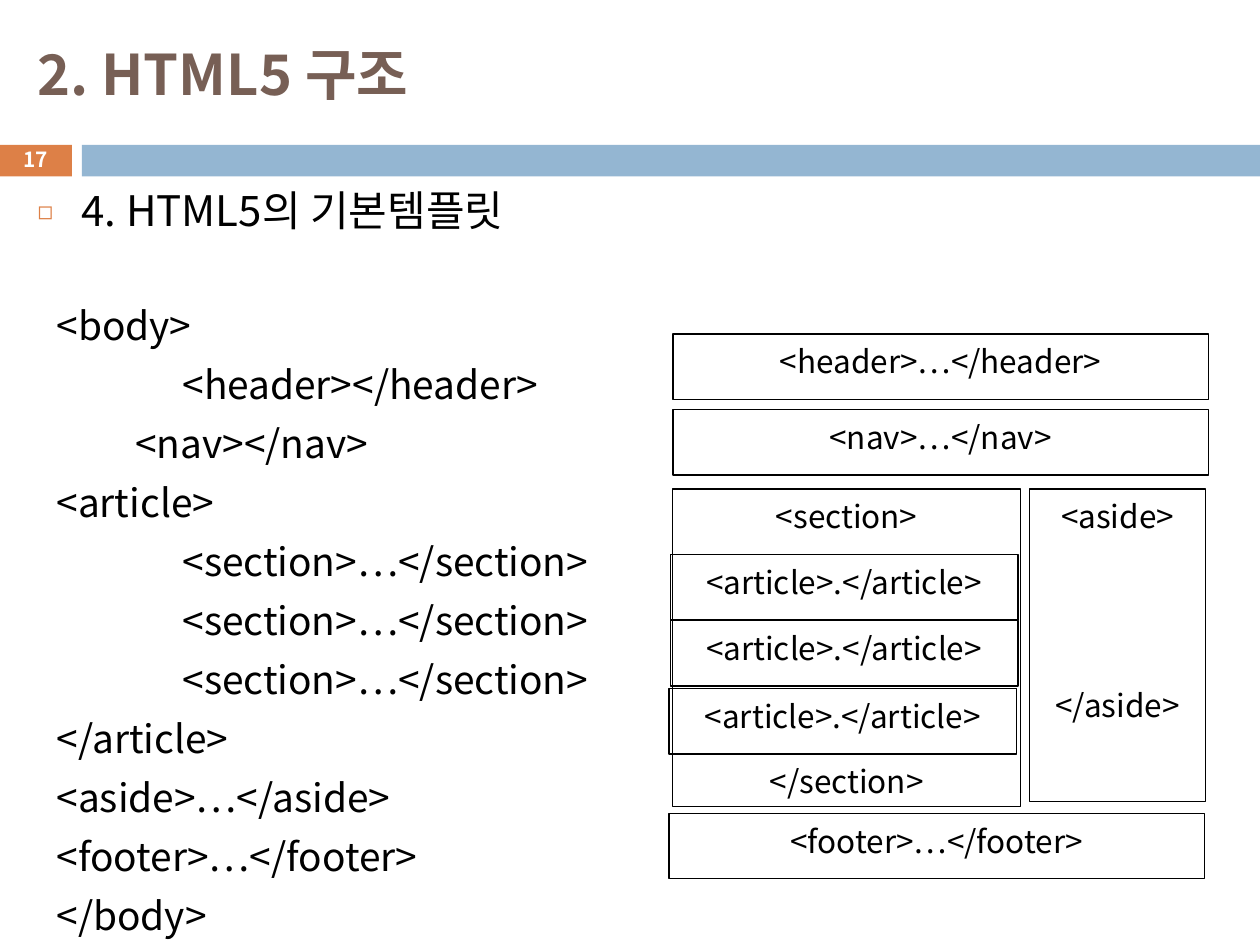
from pptx import Presentation
from pptx.util import Pt
from pptx.dml.color import RGBColor
from pptx.enum.shapes import MSO_SHAPE as SHAPE
from pptx.enum.text import MSO_ANCHOR as ANCHOR, PP_ALIGN as ALIGN
from pptx.oxml.ns import qn
from lxml.etree import SubElement

BLACK = RGBColor(0, 0, 0)
WHITE = RGBColor(255, 255, 255)
BROWN = RGBColor(0x77, 0x5F, 0x55)
ORANGE = RGBColor(0xDD, 0x80, 0x47)
BLUE = RGBColor(0x94, 0xB6, 0xD2)
FONT = "Noto Sans CJK KR"

prs = Presentation()
prs.slide_width, prs.slide_height = Pt(720), Pt(540)
s = prs.slides.add_slide(prs.slide_layouts[6])


def add_run(p, text, size, color=BLACK, bold=False):
    r = p.add_run()
    r.text = text
    r.font.name = FONT
    r.font.size = Pt(size)
    r.font.bold = bold
    r.font.color.rgb = color
    SubElement(r.font._element, qn("a:ea"), typeface=FONT)


def add_box(x, y, w, h, fill=None, line=None):
    sp = s.shapes.add_shape(SHAPE.RECTANGLE, Pt(x), Pt(y), Pt(w), Pt(h))
    sp.shadow.inherit = False
    if fill is None:
        sp.fill.background()
    else:
        sp.fill.solid()
        sp.fill.fore_color.rgb = fill
    if line is None:
        sp.line.fill.background()
    else:
        sp.line.color.rgb = line
        sp.line.width = Pt(0.75)
    tf = sp.text_frame
    tf.word_wrap = True
    tf.vertical_anchor = ANCHOR.TOP
    tf.paragraphs[0].alignment = ALIGN.LEFT
    return tf


add_box(-0.72, 82.8, 41.76, 18, fill=ORANGE)
add_box(46.8, 82.8, 673.2, 18, fill=BLUE)

tf = add_box(14.4, 15.12, 642.24, 53.28)
tf.vertical_anchor = ANCHOR.MIDDLE
add_run(tf.paragraphs[0], "2. HTML5 구조", 32, BROWN, True)

tf = add_box(-0.72, 81.36, 41.76, 19.44)
tf.vertical_anchor = ANCHOR.MIDDLE
tf.paragraphs[0].alignment = ALIGN.CENTER
add_run(tf.paragraphs[0], "17", 11.9, WHITE, True)

tf = add_box(14.4, 100.08, 642.24, 55.44)
p = tf.paragraphs[0]
p.line_spacing = Pt(30.6)
pPr = p._p.get_or_add_pPr()
pPr.set("marL", str(Pt(25.2)))
pPr.set("indent", str(Pt(-25.2)))
SubElement(SubElement(pPr, qn("a:buClr")), qn("a:srgbClr"), val=str(ORANGE))
SubElement(pPr, qn("a:buSzPct"), val="60000")
SubElement(pPr, qn("a:buFont"), typeface=FONT)
SubElement(pPr, qn("a:buChar"), char="◻")
add_run(p, "4. HTML5의 기본템플릿", 24)

SECTION = ("<section>…</section>", 72)
CODE = [
    ("<body>", 0),
    ("<header></header>", 72),
    ("<nav></nav>", 45),
    ("<article>", 0),
    SECTION,
    SECTION,
    SECTION,
    ("</article>", 0),
    ("<aside>…</aside>", 0),
    ("<footer>…</footer>", 0),
    ("</body>", 0),
]
tf = add_box(25.2, 167.76, 323.28, 339.84)
for i, (text, indent) in enumerate(CODE):
    p = tf.add_paragraph() if i else tf.paragraphs[0]
    p.alignment = ALIGN.LEFT
    p.line_spacing = Pt(28)
    if i:
        p.space_before = Pt(5.66)
    p._p.get_or_add_pPr().set("marL", str(Pt(indent)))
    add_run(p, text, 22.2)

LINE = 21.6
ARTICLE = ["<article>.</article>"]
LAYOUT = [
    (384.48, 234, 306, 37.44, ["<nav>…</nav>"], 0),
    (384.48, 190.8, 306, 37.44, ["<header>…</header>"], 0),
    (384.48, 279.36, 198.72, 181.44, ["<section>", "</section>"], 6),
    (383.04, 354.6, 198.72, 37.44, ARTICLE, 0),
    (383.04, 316.8, 198.72, 37.44, ARTICLE, 0),
    (382.32, 393.48, 198.72, 37.44, ARTICLE, 0),
    (588.24, 279.36, 100.8, 178.56, ["<aside>", "</aside>"], 4),
    (382.32, 464.76, 306, 37.44, ["<footer>…</footer>"], 0),
]
for x, y, w, h, tags, gap_lines in LAYOUT:
    tf = add_box(x, y, w, h, line=BLACK)
    tf.margin_top = Pt(4.8)
    for i, tag in enumerate(tags):
        p = tf.add_paragraph() if i else tf.paragraphs[0]
        p.alignment = ALIGN.CENTER
        p.line_spacing = Pt(LINE)
        if i:
            p.space_before = Pt(gap_lines * LINE)
        add_run(p, tag, 18)

prs.save("out.pptx")
